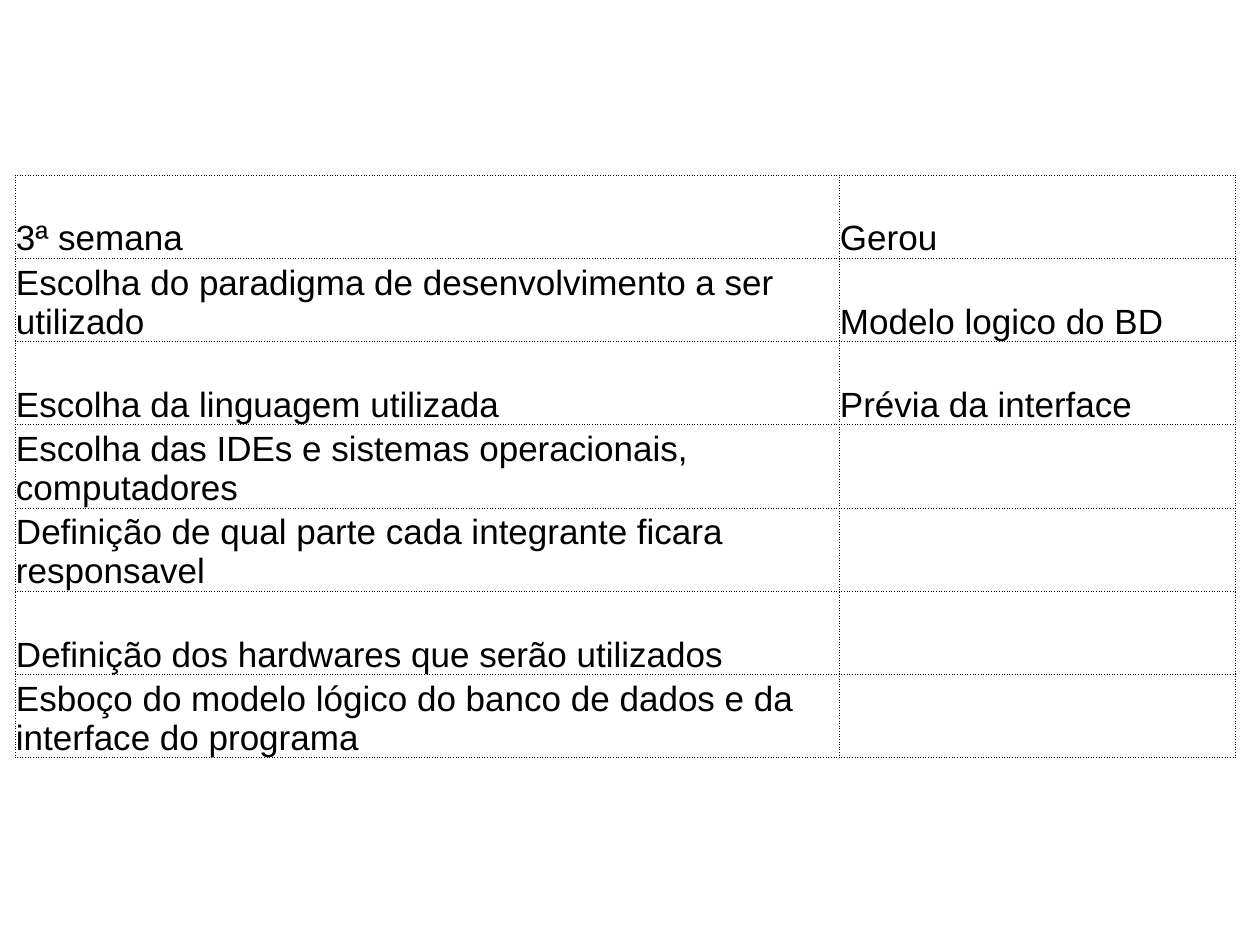
from collections import namedtuple
from dataclasses import dataclass

from lxml.etree import SubElement
from pptx import Presentation
from pptx.dml.color import RGBColor as Color
from pptx.enum.text import MSO_VERTICAL_ANCHOR as Anchor
from pptx.oxml.ns import qn
from pptx.util import Pt

PX = 914400 // 126
Box = namedtuple("Box", "left top width height")


@dataclass(frozen=True)
class Theme:
    font: str = "Arial"
    ink: str = "000000"
    paper: str = "FFFFFF"
    body: int = 20
    rule: float = 0.5


THEME = Theme()
WEEK_ROWS = [
    ("3ª semana", "Gerou"),
    ("Escolha do paradigma de desenvolvimento a ser utilizado", "Modelo logico do BD"),
    ("Escolha da linguagem utilizada", "Prévia da interface"),
    ("Escolha das IDEs e sistemas operacionais, computadores", ""),
    ("Definição de qual parte cada integrante ficara responsavel", ""),
    ("Definição dos hardwares que serão utilizados", ""),
    ("Esboço do modelo lógico do banco de dados e da interface do programa", ""),
]


def px(count):
    return count * PX


def write_text(frame, text, size=THEME.body, color=THEME.ink, font=THEME.font):
    para = frame.paragraphs[0]
    para.font.size = Pt(size)
    if text:
        span = para.add_run()
        span.text = text
        span.font.size = Pt(size)
        span.font.name = font
        span.font.color.rgb = Color.from_string(color)


def dot_borders(cell):
    properties = cell._tc.get_or_add_tcPr()
    for side in ("a:lnL", "a:lnR", "a:lnT", "a:lnB"):
        line = SubElement(properties, qn(side), w=str(Pt(THEME.rule)))
        fill = SubElement(line, qn("a:solidFill"))
        SubElement(fill, qn("a:srgbClr"), val=THEME.ink)
        SubElement(line, qn("a:prstDash"), val="sysDot")


def week_table(page, box, rows, first_width):
    frame = page.shapes.add_table(len(rows), 2, *map(px, box))
    table = frame.table
    table.first_row = table.horz_banding = False
    for column, width in zip(table.columns, (first_width, box.width - first_width)):
        column.width = px(width)
    for row, texts in zip(table.rows, rows):
        row.height = px(box.height) // len(rows)
        for cell, text in zip(row.cells, texts):
            cell.vertical_anchor = Anchor.BOTTOM
            cell.margin_left = cell.margin_right = cell.margin_top = px(1)
            cell.margin_bottom = 0
            dot_borders(cell)
            cell.fill.background()
            write_text(cell.text_frame, text)


def main():
    deck = Presentation()
    deck.slide_width, deck.slide_height = px(1260), px(945)
    page = deck.slides.add_slide(deck.slide_layouts[6])
    page.background.fill.solid()
    page.background.fill.fore_color.rgb = Color.from_string(THEME.paper)
    week_table(page, Box(15, 175, 1220, 583), WEEK_ROWS, first_width=824)
    deck.save("out.pptx")


if __name__ == "__main__":
    main()
